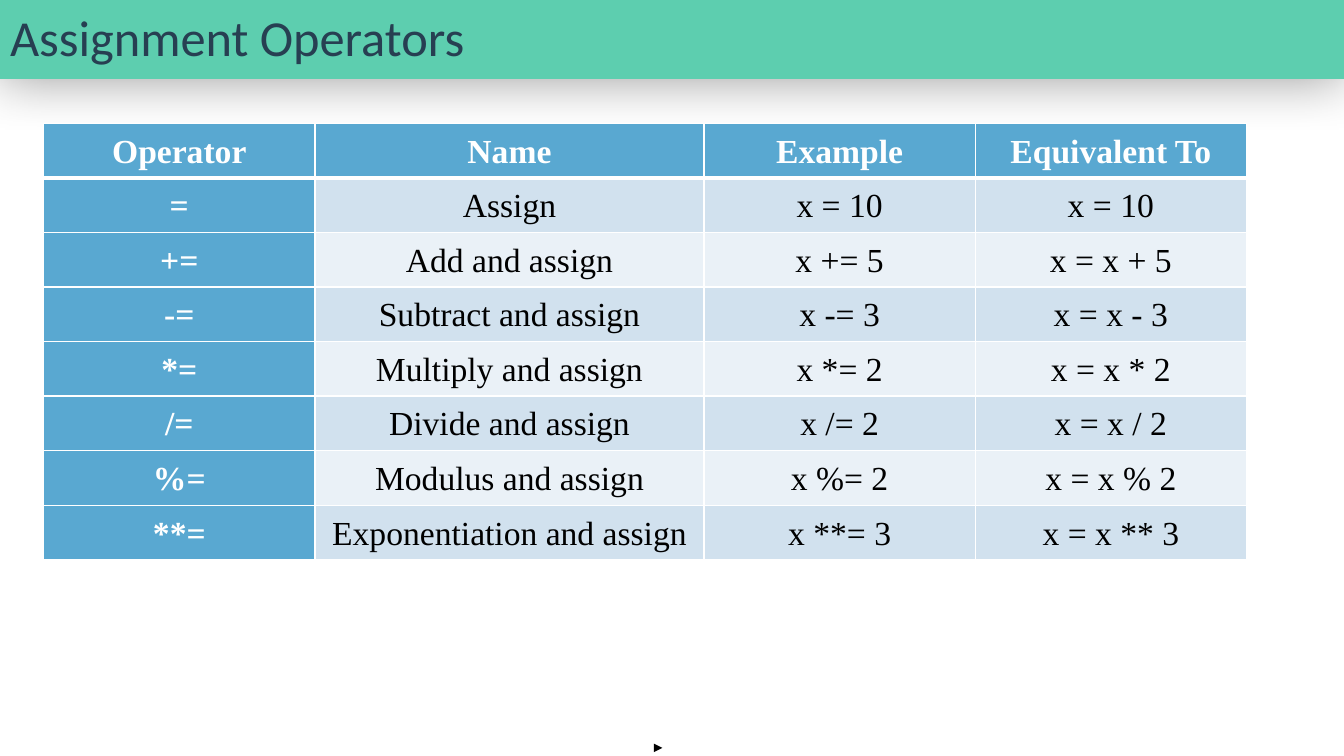
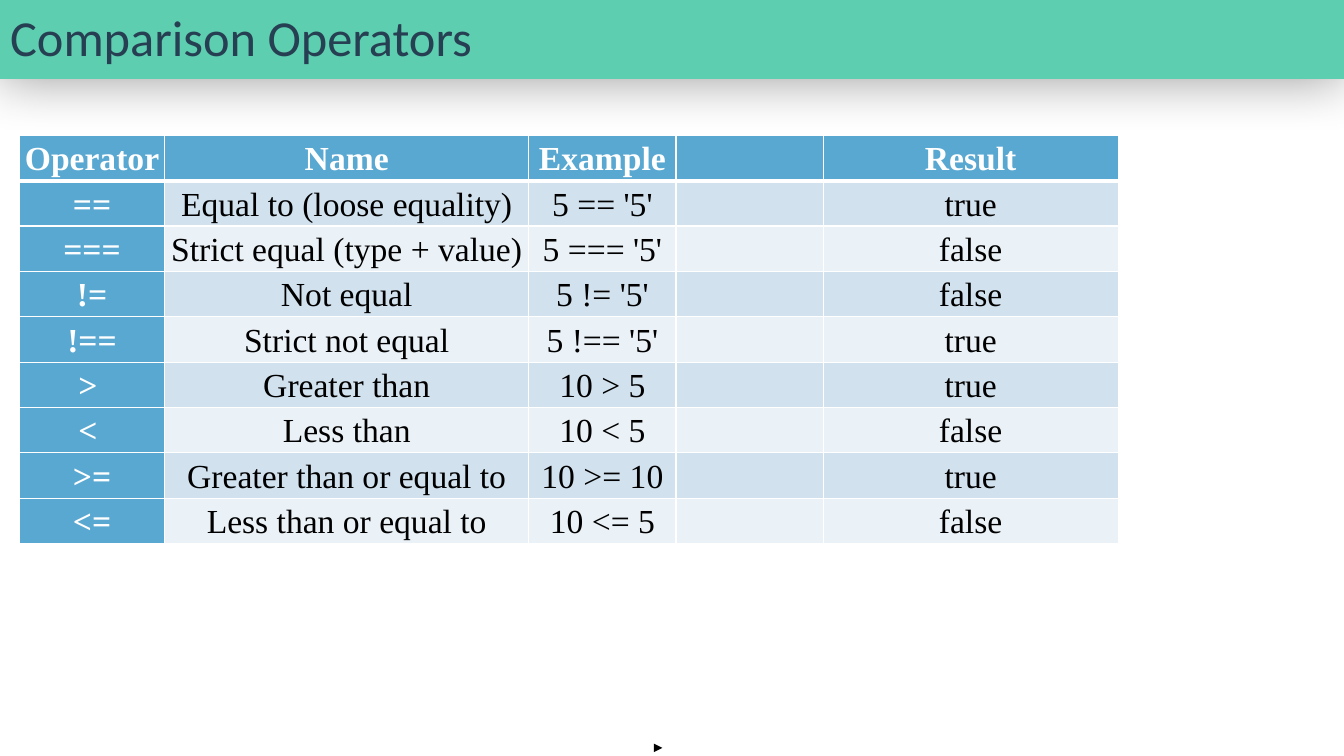
"""Build two reference slides about operators."""
import dataclasses

import lxml.etree
import pptx
import pptx.dml.color
import pptx.enum.shapes
import pptx.enum.text
import pptx.oxml.ns
import pptx.util

ALIGN = pptx.enum.text.PP_ALIGN
MIDDLE = pptx.enum.text.MSO_ANCHOR.MIDDLE


@dataclasses.dataclass(frozen=True)
class Theme:
    """Colours, fonts and type sizes of the deck."""
    band: str = "5DCEAF"
    title: str = "273F52"
    head: str = "59A8D1"
    rows: tuple = ("D1E1EE", "EAF1F7")
    ink: str = "000000"
    paper: str = "FFFFFF"
    title_font: str = "Calibri"
    table_font: str = "Times New Roman"
    title_size: int = 36
    table_size: int = 24
    spacing: float = 1.07
    inset: float = 0.01
    rule: int = 1
    head_rule: int = 3


def rgb(value):
    """Return a colour object for a hex value."""
    return pptx.dml.color.RGBColor.from_string(value)


def put(obj, **values):
    """Set each format value on an object."""
    for name, value in values.items():
        setattr(obj, name, value)


def add_xml(parent, tag, **attrs):
    """Append a drawing element and return it."""
    attrs = {k: str(v) for k, v in attrs.items()}
    return lxml.etree.SubElement(parent, pptx.oxml.ns.qn(tag), attrs)


class Deck:
    """Hold the style and the current slide, with lengths in percent of its size."""

    def __init__(self, theme):
        """Start an empty widescreen presentation."""
        self.theme = theme
        self.prs = pptx.Presentation()
        put(self.prs, slide_width=pptx.util.Inches(13.333),
            slide_height=pptx.util.Inches(7.5))
        self.s = None

    def x(self, share):
        """Return a percentage of the slide width."""
        return pptx.util.Emu(round(self.prs.slide_width * share / 100))

    def y(self, share):
        """Return a percentage of the slide height."""
        return pptx.util.Emu(round(self.prs.slide_height * share / 100))

    def text(self, p, text, font, size, color, bold=False):
        """Add a formatted run to a paragraph."""
        r = p.add_run()
        r.text = text
        put(r.font, name=font, size=pptx.util.Pt(size), bold=bold)
        r.font.color.rgb = rgb(color)

    def slide(self, title):
        """Add a slide with its title band and corner arrow."""
        self.s = self.prs.slides.add_slide(self.prs.slide_layouts[5])
        self.band(title)
        self.arrow(48.75, 49.28, 98.93)

    def band(self, text):
        """Turn the title placeholder into a shadowed band."""
        t = self.theme
        sp = self.s.shapes.title
        put(sp, left=0, top=self.y(0.13), width=self.x(100), height=self.y(9.47))
        sp.fill.solid()
        sp.fill.fore_color.rgb = rgb(t.band)
        sp.shadow.inherit = False
        effects = sp.element.spPr.find(pptx.oxml.ns.qn("a:effectLst"))
        shadow = add_xml(effects, "a:outerShdw", blurRad=pptx.util.Pt(39),
                         dist=0, dir=0, algn="ctr", rotWithShape=0)
        add_xml(add_xml(shadow, "a:srgbClr", val=t.ink), "a:alpha", val=40000)
        put(sp.text_frame, word_wrap=True, vertical_anchor=MIDDLE,
            auto_size=pptx.enum.text.MSO_AUTO_SIZE.SHAPE_TO_FIT_TEXT)
        p = sp.text_frame.paragraphs[0]
        p.alignment = ALIGN.LEFT
        self.text(p, text, t.title_font, t.title_size, t.title)

    def arrow(self, start, end, level):
        """Draw a short horizontal arrow."""
        line = self.s.shapes.add_connector(
            pptx.enum.shapes.MSO_CONNECTOR.STRAIGHT,
            self.x(start), self.y(level), self.x(end), self.y(level))
        line.line.color.rgb = rgb(self.theme.ink)
        line.line.width = pptx.util.Pt(1.5)
        props = line.element.spPr
        add_xml(props.find(pptx.oxml.ns.qn("a:ln")), "a:tailEnd", type="triangle")
        add_xml(props, "a:effectLst")

    def table(self, left, top, widths, height, rows):
        """Add a table with a header row, a header column and striped rows."""
        table = self.s.shapes.add_table(
            len(rows), len(widths), self.x(left), self.y(top),
            self.x(sum(widths)), self.y(height * len(rows))).table
        put(table, first_row=True, first_col=True, horz_banding=False)
        for col, width in zip(table.columns, widths):
            col.width = self.x(width)
        for i, texts in enumerate(rows):
            table.rows[i].height = self.y(height)
            for j, text in enumerate(texts):
                self.cell(table.cell(i, j), i, j, text)

    def cell(self, cell, i, j, text):
        """Format one table cell by its row and column."""
        t = self.theme
        head = i == 0 or j == 0
        widths = {"L": t.rule, "R": t.rule,
                  "T": t.head_rule if i == 1 else t.rule,
                  "B": t.head_rule if i == 0 else t.rule}
        for side, width in widths.items():
            ln = add_xml(cell._tc.get_or_add_tcPr(), "a:ln" + side,
                         w=pptx.util.Pt(width))
            add_xml(add_xml(ln, "a:solidFill"), "a:srgbClr", val=t.paper)
        cell.fill.solid()
        cell.fill.fore_color.rgb = rgb(t.head if head else t.rows[(i - 1) % 2])
        if not text:
            return
        inset = pptx.util.Inches(t.inset)
        put(cell, vertical_anchor=MIDDLE, margin_left=inset, margin_right=inset,
            margin_top=inset, margin_bottom=inset)
        p = cell.text_frame.paragraphs[0]
        put(p, alignment=ALIGN.CENTER, line_spacing=t.spacing)
        self.text(p, text, t.table_font, t.table_size,
                  t.paper if head else t.ink, head)


ASSIGNMENT = [
    ("Operator", "Name", "Example", "Equivalent To"),
    ("=", "Assign", "x = 10", "x = 10"),
    ("+=", "Add and assign", "x += 5", "x = x + 5"),
    ("-=", "Subtract and assign", "x -= 3", "x = x - 3"),
    ("*=", "Multiply and assign", "x *= 2", "x = x * 2"),
    ("/=", "Divide and assign", "x /= 2", "x = x / 2"),
    ("%=", "Modulus and assign", "x %= 2", "x = x % 2"),
    ("**=", "Exponentiation and assign", "x **= 3", "x = x ** 3"),
]

COMPARISON = [
    ("Operator", "Name", "Example", "", "Result"),
    ("==", "Equal to (loose equality)", "5 == '5'", "", "true"),
    ("===", "Strict equal (type + value)", "5 === '5'", "", "false"),
    ("!=", "Not equal", "5 != '5'", "", "false"),
    ("!==", "Strict not equal", "5 !== '5'", "", "true"),
    ("> ", "Greater than", "10 > 5", "", "true"),
    ("< ", "Less than", "10 < 5", "", "false"),
    (">=", "Greater than or equal to", "10 >= 10", "", "true"),
    ("<=", "Less than or equal to", "10 <= 5", "", "false"),
]


def main():
    """Build and save the deck."""
    deck = Deck(Theme())
    deck.slide("Assignment Operators")
    deck.table(3.25, 16.3, (20.18, 28.95, 20.18, 20.18), 7.22, ASSIGNMENT)
    deck.slide("Comparison Operators")
    deck.table(1.45, 17.9, (10.8, 27.1, 10.95, 10.95, 21.95), 6, COMPARISON)
    deck.prs.save("out.pptx")


if __name__ == "__main__":
    main()
